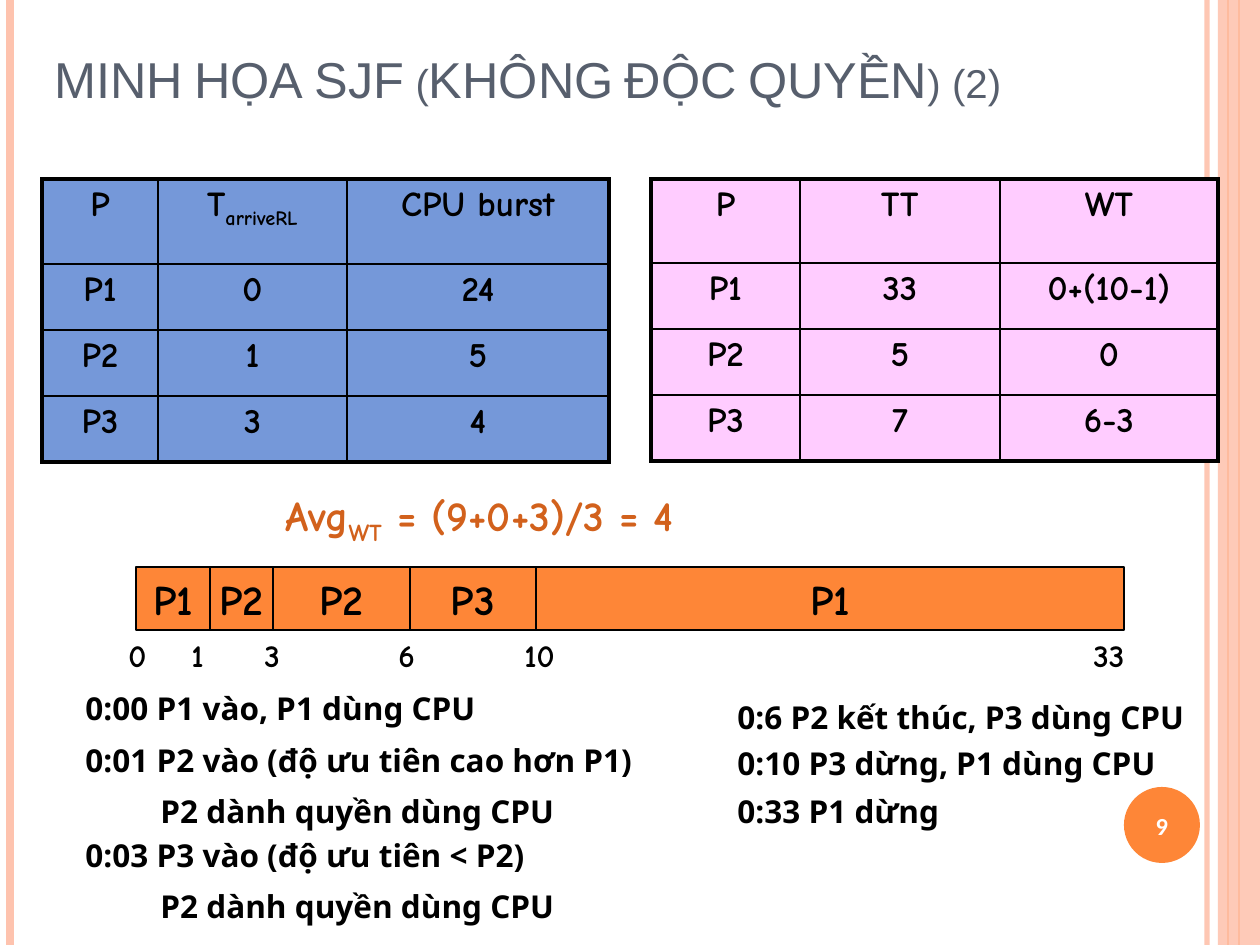
import pptx
import pptx.chart.data
import pptx.dml.color
import pptx.enum.shapes
import pptx.enum.text
import pptx.oxml.ns
import pptx.util
import lxml.etree

qn = pptx.oxml.ns.qn
sub = lxml.etree.SubElement
kind = pptx.enum.shapes.MSO_SHAPE
align = pptx.enum.text.PP_ALIGN
anchor = pptx.enum.text.MSO_ANCHOR
fit = pptx.enum.text.MSO_AUTO_SIZE
unit = 7257
ink, orange, peach = "000000", "FE8637", "FEC3AE"


def hue(code):
    return pptx.dml.color.RGBColor.from_string(code)


def write(frame, runs, form, frame_form={}, side=align.LEFT):
    for key, val in frame_form.items():
        setattr(frame, key, val)
    para = frame.paragraphs[0]
    para.alignment = side
    for words, base in runs:
        run = para.add_run()
        run.text = words
        for key, val in form.items():
            if key == "color":
                run.font.color.rgb = hue(val)
            else:
                setattr(run.font, key, val)
        if base:
            run.font._element.set("baseline", str(base))
    return para


def_size = pptx.util.Pt
comic = {"name": "Comic Neue", "bold": True, "color": ink}
cell_form = {**comic, "size": def_size(20)}
bar_form = {**comic, "size": def_size(24)}
tick_form = {**comic, "size": def_size(18)}
note_form = {**tick_form, "name": "Noto Sans"}
mean_form = {**bar_form, "color": "D2611C"}
page_form = {"name": "Calibri", "bold": True, "color": "FFFFFF", "size": def_size(14)}
head_form = {"name": "Arial", "color": "575F6D", "size": def_size(28.8)}
loose = {"word_wrap": False, "auto_size": fit.SHAPE_TO_FIT_TEXT}

deck = pptx.Presentation()
deck.slide_width = 1260 * unit
deck.slide_height = 945 * unit
slide = deck.slides.add_slide(deck.slide_layouts[6])
shapes = slide.shapes

for x, code, width, alpha in [
    (1207, peach, 3, 93),
    (10, peach, 4.5, 100),
    (1239, orange, 1.5, 100),
    (1228, orange, 0.75, 100),
]:
    rule = shapes.add_connector(
        pptx.enum.shapes.MSO_CONNECTOR.STRAIGHT, x * unit, 0, x * unit, 945 * unit
    )
    rule.line.color.rgb = hue(code)
    rule.line.width = def_size(width)
    sub(rule._element.spPr, qn("a:effectLst"))
    if alpha < 100:
        tint = rule._element.spPr.find(".//" + qn("a:srgbClr"))
        sub(tint, qn("a:alpha")).set("val", str(alpha * 1000))

for form, box, code, alpha in [
    (kind.RECTANGLE, (1218, 0, 42, 945), peach, 87),
    (kind.OVAL, (1124, 787, 76, 76), orange, 100),
]:
    shape = shapes.add_shape(form, *[v * unit for v in box])
    shape.shadow.inherit = False
    shape.fill.solid()
    shape.fill.fore_color.rgb = hue(code)
    shape.line.fill.background()
    if alpha < 100:
        tint = shape._element.spPr.find(".//" + qn("a:srgbClr"))
        sub(tint, qn("a:alpha")).set("val", str(alpha * 1000))

tables = [
    (42, "7598D9", (116, 189, 262), 85, [
        ("P", "T", "CPU burst"), ("P1", "0", "24"), ("P2", "1", "5"), ("P3", "3", "4"),
    ]),
    (651, "FFCCFF", (149, 200, 218), 84, [
        ("P", "TT", "WT"), ("P1", "33", "0+(10-1)"), ("P2", "5", "0"), ("P3", "7", "6-3"),
    ]),
]
for left, code, cols, top, rows in tables:
    highs = [top, 66, 66, 66]
    box = (left, 179, sum(cols), sum(highs))
    grid = shapes.add_table(4, 3, *[v * unit for v in box]).table
    grid.first_row = False
    grid.horz_banding = False
    for c, width in enumerate(cols):
        grid.columns[c].width = width * unit
    for r, row in enumerate(rows):
        grid.rows[r].height = highs[r] * unit
        for c, words in enumerate(row):
            cell = grid.cell(r, c)
            cell.fill.solid()
            cell.fill.fore_color.rgb = hue(code)
            runs = [(words, 0)]
            if words == "T":
                runs.append(("arriveRL", -25000))
            write(cell.text_frame, runs, cell_form, side=align.CENTER)
            props = cell._tc.get_or_add_tcPr()
            edges = [("L", c == 0), ("R", c == 2), ("T", r == 0), ("B", r == 3)]
            for i, (edge, outer) in enumerate(edges):
                line = sub(props, qn("a:ln" + edge))
                line.set("w", str(def_size(2.25 if outer else 1)))
                sub(sub(line, qn("a:solidFill")), qn("a:srgbClr")).set("val", ink)
                props.insert(i, line)

bounds = [136, 210, 273, 410, 536, 1124]
for name, start, end in zip(["P1", "P2", "P2", "P3", "P1"], bounds, bounds[1:]):
    bar = shapes.add_shape(
        kind.RECTANGLE, *[v * unit for v in (start, 567, end - start, 63)]
    )
    bar.shadow.inherit = False
    bar.fill.solid()
    bar.fill.fore_color.rgb = hue(orange)
    bar.line.color.rgb = hue(ink)
    bar.line.width = def_size(0.75)
    write(bar.text_frame, [(name, 0)], bar_form,
          {"word_wrap": False, "vertical_anchor": anchor.MIDDLE}, align.CENTER)

ticks = [("0", 116), ("1", 179), ("3", 252), ("6", 386), ("10", 512), ("33", 1081)]
for words, x in ticks:
    wide = 44 if len(words) == 1 else 64
    box = shapes.add_textbox(*[v * unit for v in (x, 630, wide, 50)])
    write(box.text_frame, [(words, 0)], tick_form, loose)

notes = [
    ("0:00 P1 vào, P1 dùng CPU", 73, 683, 436, 0),
    ("0:01 P2 vào (độ ưu tiên cao hơn P1)", 73, 735, 596, 0),
    ("P2 dành quyền dùng CPU", 73, 786, 517, 75),
    ("0:03 P3 vào (độ ưu tiên < P2)", 73, 830, 498, 0),
    ("P2 dành quyền dùng CPU", 73, 881, 517, 75),
    ("0:6 P2 kết thúc, P3 dùng CPU", 725, 692, 490, 0),
    ("0:10 P3 dừng, P1 dùng CPU", 725, 738, 466, 0),
    ("0:33 P1 dừng", 725, 786, 239, 0),
]
for words, x, y, wide, pad in notes:
    box = shapes.add_textbox(*[v * unit for v in (x, y, wide, 50)])
    para = write(box.text_frame, [(words, 0)], note_form, {**loose, "word_wrap": pad > 0})
    if pad:
        para._p.get_or_add_pPr().set("marL", str(pad * unit))

mean = shapes.add_textbox(*[v * unit for v in (273, 483, 672, 63)])
write(mean.text_frame, [("Avg", 0), ("WT", -25000), (" = (9+0+3)/3 = 4", 0)],
      mean_form, {"word_wrap": True})

page = shapes.add_textbox(*[v * unit for v in (1120, 790, 84, 72)])
write(page.text_frame, [("9", 0)], page_form,
      {"word_wrap": True, "vertical_anchor": anchor.MIDDLE}, align.CENTER)

title = shapes.add_textbox(*[v * unit for v in (42, 10, 1113, 105)])
para = write(title.text_frame, [("MINH HỌA SJF (KHÔNG ĐỘC QUYỀN) (2)", 0)], head_form,
             {"word_wrap": True, "vertical_anchor": anchor.BOTTOM})
para.runs[0].font._element.set("cap", "small")

deck.save("out.pptx")
